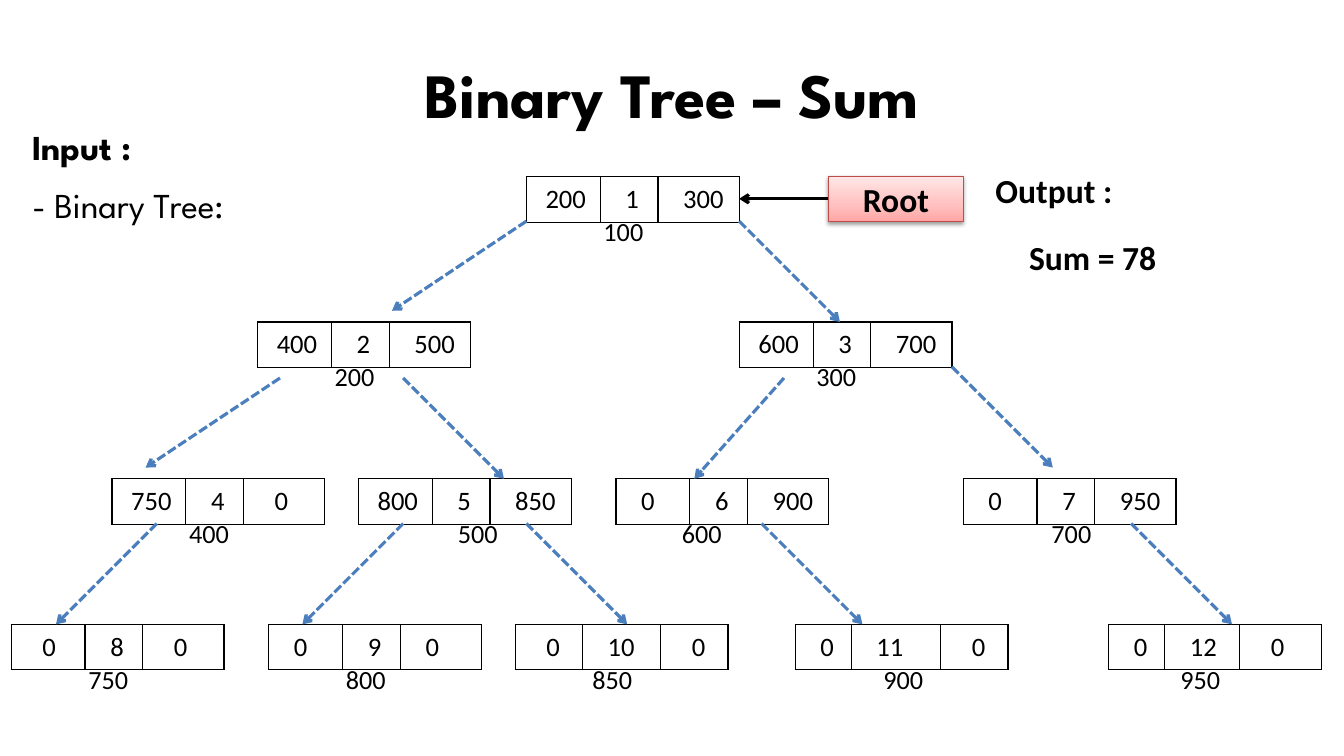
import copy
from typing import Any, NamedTuple

import lxml.etree
import pptx
import pptx.dml.color
import pptx.enum.dml
import pptx.enum.shapes
import pptx.enum.text
import pptx.oxml.ns
import pptx.util

Pt = pptx.util.Pt
qn = pptx.oxml.ns.qn
ALIGN = pptx.enum.text.PP_ALIGN
ANCHOR = pptx.enum.text.MSO_ANCHOR

BLACK = "000000"
LINK_BLUE = "4B7EBC"
HEADING_FONT = "League Spartan"
LEVEL_TOPS = (126, 230, 342, 446)
NODE_HEIGHT = 32
ADDRESS_DROP = 24
SPACE_WIDTH = 4.3
USUAL_WIDTHS = (52.8, 41.2, 58)


class Node(NamedTuple):
    """A tree node: cells hold left child, value, right child; indents are in space widths."""
    level: int
    left: float
    cells: tuple[str, str, str]
    address: str
    indents: tuple[int, int, int] = (1, 2, 2)
    address_offset: float = 48
    widths: tuple[float, float, float] = USUAL_WIDTHS


class Arrow(NamedTuple):
    x1: float
    y1: float
    x2: float
    y2: float
    color: str = LINK_BLUE
    dashed: bool = True


class Label(NamedTuple):
    text: str
    left: float
    top: float
    width: float
    height: float
    style: dict[str, Any]


NODES = (
    Node(0, 376, ("200", "1", "300"), "100"),
    Node(1, 184, ("400", "2", "500"), "200"),
    Node(1, 528, ("600", "3", "700"), "300"),
    Node(2, 80, ("750", "4", "0"), "400", (1, 2, 3)),
    Node(2, 256, ("800", "5", "850"), "500", address_offset=64),
    Node(2, 440, ("0", "6", "900"), "600", (2, 2, 2), 40),
    Node(2, 688, ("0", "7", "950"), "700", (2, 2, 2), 56),
    Node(3, 8, ("0", "8", "0"), "750", (3, 2, 3)),
    Node(3, 192, ("0", "9", "0"), "800", (2, 2, 2)),
    Node(3, 368, ("0", "10", "0"), "850", (3, 2, 3), widths=(48, 56, 48)),
    Node(3, 568, ("0", "11", "0"), "900", (2, 2, 3), 56, (40, 64, 48)),
    Node(3, 792, ("0", "12", "0"), "950", (2, 2, 3), 44, (40, 53.5, 58.5)),
)

ARROWS = (
    Arrow(376, 158, 280, 222),
    Arrow(528, 158, 600, 230),
    Arrow(200, 270, 104, 334),
    Arrow(288, 270, 360, 342),
    Arrow(560, 270, 496, 342),
    Arrow(680, 262, 752, 334),
    Arrow(112, 374, 40, 446),
    Arrow(288, 374, 216, 446),
    Arrow(376, 374, 448, 446),
    Arrow(544, 374, 616, 446),
    Arrow(808, 374, 880, 446),
    Arrow(592, 142, 528, 142, BLACK, False),
)

LABELS = (
    Label("Binary Tree – Sum", 48, 21.6, 864, 90,
          dict(size=45, font=HEADING_FONT, bold=True, align=ALIGN.CENTER, anchor=ANCHOR.MIDDLE)),
    Label("Input :", 16, 86, 152, 37.5, dict(size=25, font=HEADING_FONT, bold=True)),
    Label("- Binary Tree:", 16, 127.5, 168, 37.5, dict(size=25, font=HEADING_FONT)),
    Label("Output :", 704, 118, 152, 36, dict(size=24, bold=True)),
    Label("Sum = 78", 728, 166, 152, 36, dict(size=24, bold=True)),
)


def rgb(color: str) -> pptx.dml.color.RGBColor:
    return pptx.dml.color.RGBColor.from_string(color)


def write(frame: Any, text: str, *, size: float, font: str = "Calibri", bold: bool = False,
          align: Any = ALIGN.LEFT, anchor: Any = ANCHOR.TOP) -> None:
    frame.word_wrap = True
    frame.vertical_anchor = anchor
    paragraph = frame.paragraphs[0]
    paragraph.alignment = align
    run = paragraph.add_run()
    run.text = text
    run.font.size = Pt(size)
    run.font.name = font
    run.font.bold = bold
    run.font.color.rgb = rgb(BLACK)


def add_label(shapes: Any, label: Label) -> None:
    box = shapes.add_textbox(*map(Pt, label[1:5]))
    write(box.text_frame, label.text, **label.style)


def add_borders(cell: Any) -> None:
    properties = cell._tc.get_or_add_tcPr()
    for side in ("lnL", "lnR", "lnT", "lnB"):
        border = lxml.etree.SubElement(properties, qn(f"a:{side}"), w=str(Pt(1)))
        fill = lxml.etree.SubElement(border, qn("a:solidFill"))
        lxml.etree.SubElement(fill, qn("a:srgbClr"), val=BLACK)


def add_node(shapes: Any, node: Node) -> None:
    top = LEVEL_TOPS[node.level]
    frame = shapes.add_table(1, 3, Pt(node.left), Pt(top), Pt(sum(node.widths)), Pt(NODE_HEIGHT))
    table = frame.table
    table.first_row = table.horz_banding = False
    for index, (text, indent, width) in enumerate(zip(node.cells, node.indents, node.widths)):
        table.columns[index].width = Pt(width)
        cell = table.cell(0, index)
        cell.margin_left = Pt(9.4 + indent * SPACE_WIDTH)
        cell.margin_right = Pt(5)
        cell.margin_top = cell.margin_bottom = Pt(4.8)
        add_borders(cell)
        cell.fill.background()
        write(cell.text_frame, text, size=19)
    add_label(shapes, Label(node.address, node.left + node.address_offset, top + ADDRESS_DROP,
                            56, 30, dict(size=18.7)))


def add_arrow(shapes: Any, arrow: Arrow) -> None:
    connector = shapes.add_connector(pptx.enum.shapes.MSO_CONNECTOR.STRAIGHT, *map(Pt, arrow[:4]))
    line = connector.line
    line.color.rgb = rgb(arrow.color)
    line.width = Pt(2.25)
    if arrow.dashed:
        line.dash_style = pptx.enum.dml.MSO_LINE.SQUARE_DOT
    lxml.etree.SubElement(line._get_or_add_ln(), qn("a:tailEnd"), type="arrow")
    lxml.etree.SubElement(connector._element.spPr, qn("a:effectLst"))


def add_root_tag(shapes: Any) -> None:
    """Draw the red gradient box that points at the root node."""
    root = shapes.add_shape(pptx.enum.shapes.MSO_SHAPE.RECTANGLE, Pt(592), Pt(126), Pt(96), Pt(32))
    root.fill.gradient()
    root.fill.gradient_angle = 90
    properties = root._element.spPr
    stops = properties.find(".//" + qn("a:gsLst"))
    stops.append(copy.deepcopy(stops[-1]))
    shades = ((0, "FFA6A5"), (0.35, "FFC0BF"), (1, "FFE7E7"))
    for stop, (position, color) in zip(root.fill.gradient_stops, shades):
        stop.position = position
        stop.color.rgb = rgb(color)
    root.line.color.rgb = rgb("BF4C48")
    root.line.width = Pt(0.75)
    root.shadow.inherit = False
    shadow = lxml.etree.SubElement(
        properties.find(qn("a:effectLst")), qn("a:outerShdw"),
        blurRad=str(Pt(3.1)), dist=str(Pt(1.6)), dir="5400000", rotWithShape="0")
    tint = lxml.etree.SubElement(shadow, qn("a:srgbClr"), val=BLACK)
    lxml.etree.SubElement(tint, qn("a:alpha"), val="38000")
    write(root.text_frame, "Root", size=24, bold=True, align=ALIGN.CENTER, anchor=ANCHOR.MIDDLE)


def main() -> None:
    deck = pptx.Presentation()
    deck.slide_width, deck.slide_height = Pt(960), Pt(540)
    shapes = deck.slides.add_slide(deck.slide_layouts[6]).shapes
    for node in NODES:
        add_node(shapes, node)
    for arrow in ARROWS:
        add_arrow(shapes, arrow)
    add_root_tag(shapes)
    for label in LABELS:
        add_label(shapes, label)
    deck.save("out.pptx")


if __name__ == "__main__":
    main()
